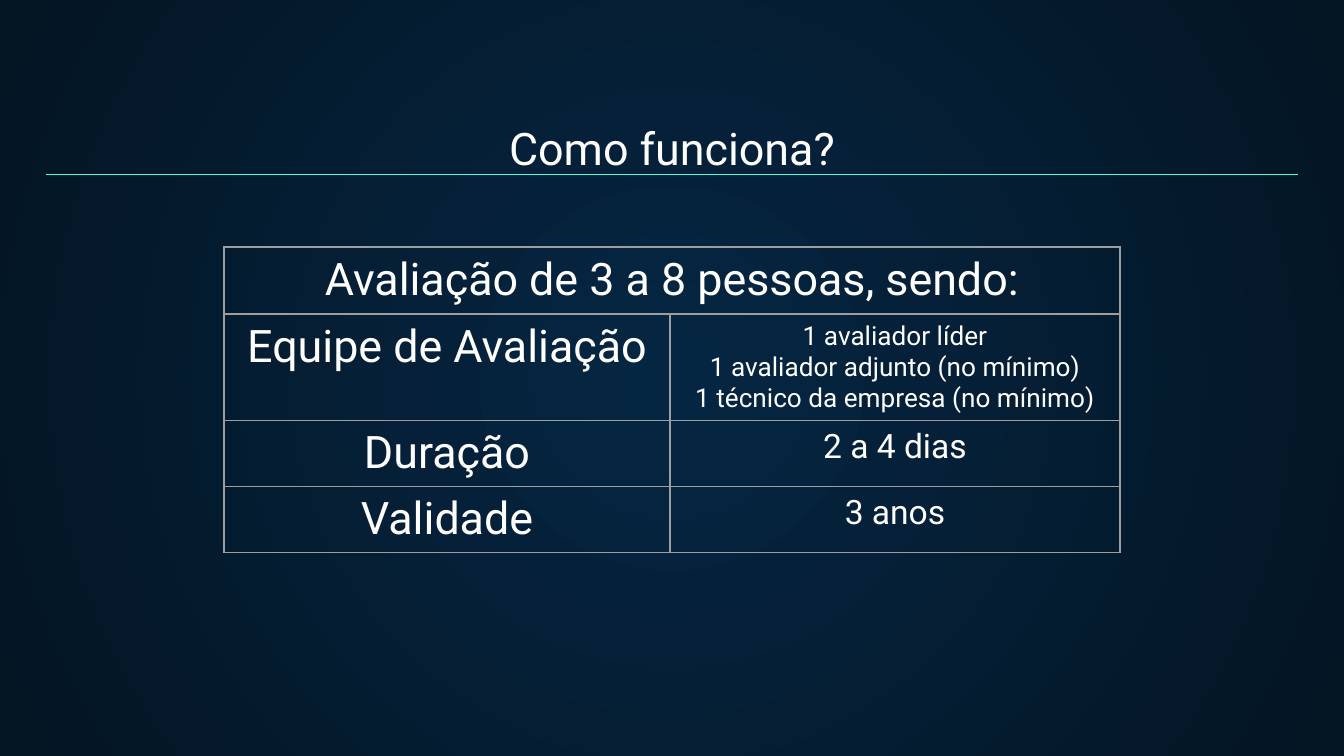
from dataclasses import dataclass

from lxml.etree import SubElement
from pptx import Presentation
from pptx.dml.color import RGBColor
from pptx.enum.shapes import MSO_CONNECTOR
from pptx.enum.text import MSO_ANCHOR, MSO_AUTO_SIZE, PP_ALIGN
from pptx.oxml.ns import qn
from pptx.slide import Slide
from pptx.table import _Cell
from pptx.text.text import TextFrame
from pptx.util import Pt


@dataclass(frozen=True)
class Theme:
    """Colours, font and type sizes."""

    font: str = "Roboto"
    text: str = "FFFFFF"
    glow: str = "052643"
    edge: str = "041523"
    rule: str = "48FFD5"
    grid: str = "9E9E9E"
    line: float = 0.75
    large: int = 24
    mid: int = 18
    small: int = 14


@dataclass(frozen=True)
class Entry:
    """Text of one cell and its size."""

    text: str
    size: int


@dataclass(frozen=True)
class Grid:
    """Place and content of one table."""

    top: float
    cols: list[float]
    rows: list[float]
    cells: list[list[Entry]]


THEME = Theme()
WIDTH, HEIGHT = 720, 405
LEFT = 120
GRIDS = [
    Grid(132.3, [480], [35.6], [[Entry("Avaliação de 3 a 8 pessoas, sendo:", THEME.large)]]),
    Grid(
        168.3,
        [239, 241],
        [56.8, 35.4, 35.4],
        [
            [
                Entry("Equipe de Avaliação", THEME.large),
                Entry(
                    "1 avaliador líder\n1 avaliador adjunto (no mínimo)\n"
                    "1 técnico da empresa (no mínimo)",
                    THEME.small,
                ),
            ],
            [Entry("Duração", THEME.large), Entry("2 a 4 dias", THEME.mid)],
            [Entry("Validade", THEME.large), Entry("3 anos", THEME.mid)],
        ],
    ),
]


def paint(slide: Slide) -> None:
    """Fill the background with a round gradient."""
    fill = slide.background.fill
    fill.gradient()
    for stop, tone in zip(fill.gradient_stops, (THEME.glow, THEME.edge)):
        stop.color.rgb = RGBColor.from_string(tone)
    lin = next(slide.element.iter(qn("a:lin")))
    grad = lin.getparent()
    grad.remove(lin)
    ring = SubElement(grad, qn("a:path"), path="circle")
    SubElement(ring, qn("a:fillToRect"), {side: "50000" for side in "ltrb"})


def write(frame: TextFrame, text: str, size: int) -> None:
    """Set centred text in the theme font."""
    frame.text = text
    for para in frame.paragraphs:
        para.alignment = PP_ALIGN.CENTER
        para.font.name = THEME.font
        para.font.size = Pt(size)
        para.font.bold = False
        para.font.color.rgb = RGBColor.from_string(THEME.text)


def border(cell: _Cell) -> None:
    """Draw all four cell edges and clear the fill."""
    props = cell._tc.get_or_add_tcPr()
    for side in "LRTB":
        edge = SubElement(props, qn(f"a:ln{side}"), w=str(Pt(THEME.line)))
        solid = SubElement(edge, qn("a:solidFill"))
        SubElement(solid, qn("a:srgbClr"), val=THEME.grid)
    cell.fill.background()


def tabulate(slide: Slide, grid: Grid) -> None:
    """Add one table with its sizes and text."""
    table = slide.shapes.add_table(
        len(grid.rows), len(grid.cols), Pt(LEFT), Pt(grid.top),
        Pt(sum(grid.cols)), Pt(sum(grid.rows)),
    ).table
    table.first_row = table.horz_banding = False
    for col, width in zip(table.columns, grid.cols):
        col.width = Pt(width)
    for row, height, line in zip(table.rows, grid.rows, grid.cells):
        row.height = Pt(height)
        for cell, entry in zip(row.cells, line):
            write(cell.text_frame, entry.text, entry.size)
            border(cell)


def head(slide: Slide, text: str) -> None:
    """Place the title and the rule under it."""
    title = slide.shapes.title
    title.left, title.top, title.width, title.height = Pt(85.5), Pt(61), Pt(549), Pt(36)
    frame = title.text_frame
    frame.word_wrap = True
    frame.auto_size = MSO_AUTO_SIZE.NONE
    frame.vertical_anchor = MSO_ANCHOR.MIDDLE
    write(frame, text, THEME.large)
    rule = slide.shapes.add_connector(
        MSO_CONNECTOR.STRAIGHT, Pt(24.5), Pt(93.6), Pt(WIDTH - 24.5), Pt(93.6)
    )
    rule.line.color.rgb = RGBColor.from_string(THEME.rule)
    rule.line.width = Pt(THEME.line)
    SubElement(rule.element.spPr, qn("a:effectLst"))


def main() -> None:
    """Build and save the slide."""
    deck = Presentation()
    deck.slide_width, deck.slide_height = Pt(WIDTH), Pt(HEIGHT)
    slide = deck.slides.add_slide(deck.slide_layouts.get_by_name("Title Only"))
    paint(slide)
    for grid in GRIDS:
        tabulate(slide, grid)
    head(slide, "Como funciona?")
    deck.save("out.pptx")


if __name__ == "__main__":
    main()
